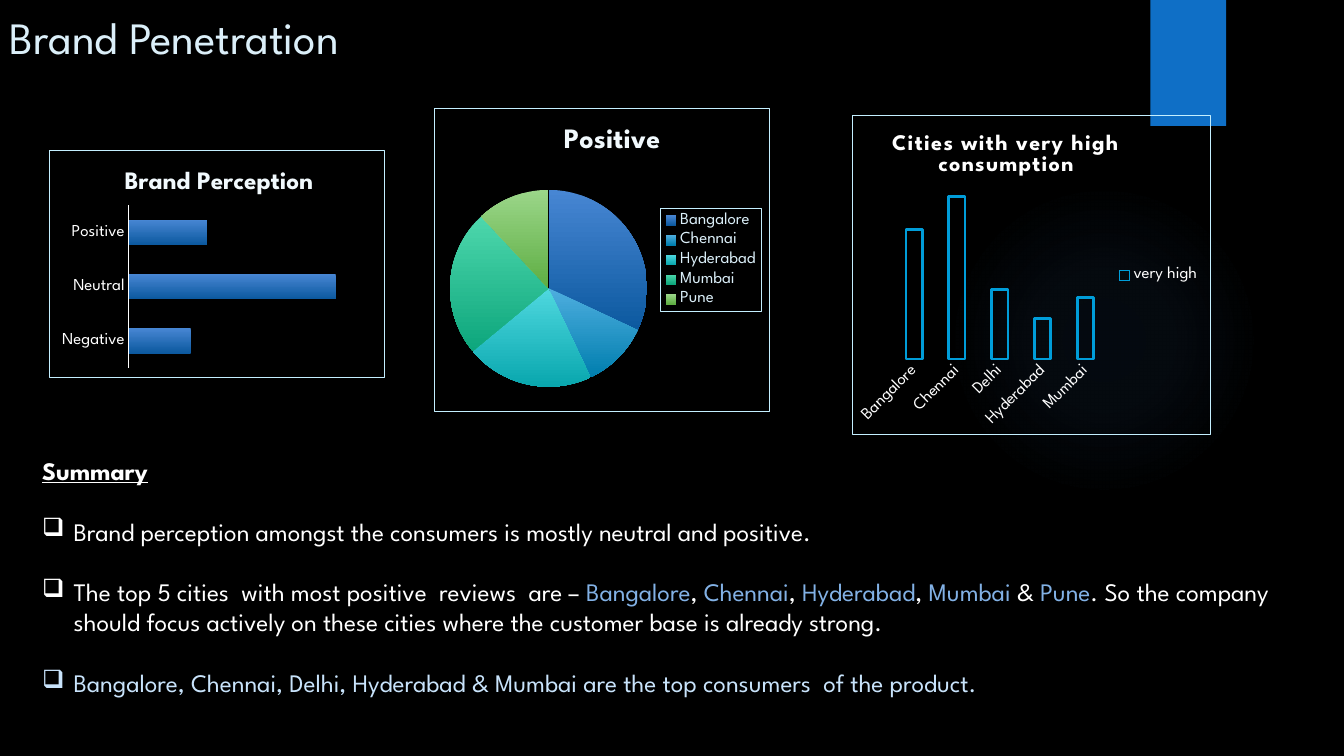
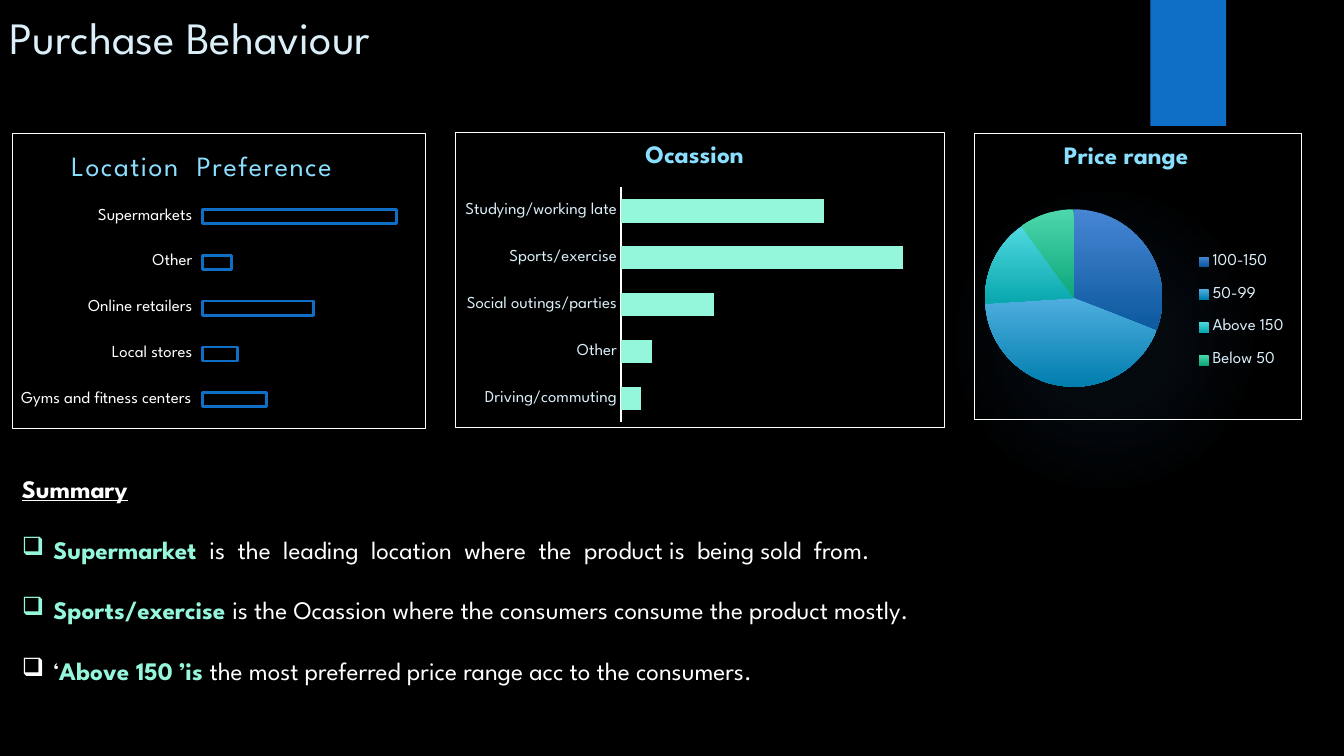
"""Build two survey slides, each with three charts above a bulleted summary."""
from dataclasses import dataclass
from typing import Any, Optional

import pptx
import pptx.chart.chart
import pptx.chart.data
import pptx.dml.color
import pptx.dml.fill
import pptx.enum.chart
import pptx.enum.shapes
import pptx.enum.text
import pptx.oxml
import pptx.oxml.ns
import pptx.slide
import pptx.util

Pt = pptx.util.Pt
ChartType = pptx.enum.chart.XL_CHART_TYPE
TickMark = pptx.enum.chart.XL_TICK_MARK
Box = tuple[float, float, float, float]
Run = tuple[str, str, bool]


@dataclass(frozen=True)
class Theme:
    """Colours, type sizes and the font of the deck."""
    font: str = "League Spartan"
    background: str = "000000"
    band: str = "0F6FC6"
    glow: str = "448AD7"
    text: str = "FFFFFF"
    title: str = "DBEFF9"
    chart_title: str = "F1F9FD"
    sky: str = "8ADFFF"
    cyan: str = "009DD9"
    frame: str = "C4EFFF"
    city: str = "82B1E5"
    pale: str = "C8E3FB"
    mint: str = "94F7DC"
    gradients: tuple[tuple[str, str], ...] = (
        ("4786D3", "0C599F"), ("4EAEDF", "007EAE"), ("4FD8DF", "09A7AE"),
        ("4DD7AC", "0DA67C"), ("9BD689", "5EAE43"))
    title_size: float = 32
    body_size: float = 18
    label_size: float = 12
    chart_size: float = 10
    line_pitch: float = 21.6
    indent: float = 22.5


THEME = Theme()


@dataclass(frozen=True)
class ChartSpec:
    """One framed chart; plot, title and legend places are fractions of it."""
    title: str
    kind: Any
    box: Box
    plot: Box
    title_at: tuple[float, float]
    values: dict[str, float]
    series: str = "Series 1"
    title_size: float = 18
    title_color: str = THEME.sky
    title_bold: bool = True
    title_spacing: int = 0
    frame: str = THEME.text
    label_color: str = THEME.text
    fill: Optional[str] = None
    outline: Optional[str] = None
    axis_line: Optional[str] = None
    tick: Any = TickMark.NONE
    gap: int = 100
    overlap: int = 0
    maximum: float = 100
    legend: bool = False
    legend_frame: Optional[str] = None
    legend_box: Optional[Box] = None


@dataclass(frozen=True)
class SlideSpec:
    """Content of one slide."""
    title: str
    charts: list[ChartSpec]
    summary_box: Box
    bullets: list[list[Run]]


def rgb(color: str) -> pptx.dml.color.RGBColor:
    """Return a colour object."""
    return pptx.dml.color.RGBColor.from_string(color)


def set_values(target: Any, values: dict[str, Any]) -> None:
    """Set attributes from a dict."""
    for name, value in values.items():
        setattr(target, name, value)


def style_font(font: Any, size: float, color: str, **extra: Any) -> None:
    """Apply the deck font with a size, a colour and extra values."""
    set_values(font, {"name": THEME.font, "size": Pt(size), **extra})
    font.color.rgb = rgb(color)


def xml(tag: str, attributes: str, content: str) -> Any:
    """Parse one element that may use the a and c prefixes."""
    names = pptx.oxml.ns.nsdecls("a", "c")
    return pptx.oxml.parse_xml(f"<{tag} {names} {attributes}>{content}</{tag}>")


def place(element: Any, index: int, fractions: tuple[float, ...], inner: bool = False) -> None:
    """Give a chart part a manual layout."""
    for old in element.findall(pptx.oxml.ns.qn("c:layout")):
        element.remove(old)
    content = '<c:layoutTarget val="inner"/>' if inner else ""
    content += '<c:xMode val="edge"/><c:yMode val="edge"/>'
    content += "".join(f'<c:{key} val="{value}"/>' for key, value in zip("xywh", fractions))
    element.insert(index, xml("c:layout", "", f"<c:manualLayout>{content}</c:manualLayout>"))


def frame_xml(color: str) -> Any:
    """Return unfilled chart properties with a thin outline."""
    line = f'<a:ln w="9525"><a:solidFill><a:srgbClr val="{color}"/></a:solidFill></a:ln>'
    return xml("c:spPr", "", f"<a:noFill/>{line}")


def fill_gradient(fill: pptx.dml.fill.FillFormat, colors: tuple[str, str]) -> None:
    """Fill from top to bottom with two colours."""
    fill.gradient()
    fill.gradient_angle = 270
    for stop, color, position in zip(fill.gradient_stops, colors, (0, 1)):
        stop.color.rgb = rgb(color)
        stop.position = position


def style_title(chart: pptx.chart.chart.Chart, spec: ChartSpec) -> None:
    """Write and place the chart title."""
    frame = chart.chart_title.text_frame
    frame.text = spec.title
    font = frame.paragraphs[0].runs[0].font
    style_font(font, spec.title_size, spec.title_color, bold=spec.title_bold)
    frame.paragraphs[0].runs[0]._r.get_or_add_rPr().set("spc", str(spec.title_spacing))
    chart.chart_title.include_in_layout = False
    place(chart.chart_title._element, 1, spec.title_at)


def style_legend(chart: pptx.chart.chart.Chart, spec: ChartSpec) -> None:
    """Show the legend at the right where one is wanted."""
    chart.has_legend = spec.legend
    if not spec.legend:
        return
    legend = chart.legend
    set_values(legend, {"position": pptx.enum.chart.XL_LEGEND_POSITION.RIGHT,
                        "include_in_layout": False})
    style_font(legend.font, THEME.label_size, spec.label_color)
    if spec.legend_box:
        place(legend._element, 1, spec.legend_box)
    if spec.legend_frame:
        text = legend._element.find(pptx.oxml.ns.qn("c:txPr"))
        text.addprevious(frame_xml(spec.legend_frame))


def style_bars(chart: pptx.chart.chart.Chart, spec: ChartSpec) -> None:
    """Format the axes and bars."""
    set_values(chart.plots[0], {"gap_width": spec.gap, "overlap": spec.overlap,
                                "vary_by_categories": False})
    set_values(chart.value_axis, {"visible": False, "has_major_gridlines": False,
                                  "minimum_scale": 0, "maximum_scale": spec.maximum})
    axis = chart.category_axis
    set_values(axis, {"major_tick_mark": spec.tick, "minor_tick_mark": TickMark.NONE,
                      "has_major_gridlines": False})
    style_font(axis.tick_labels.font, THEME.label_size, spec.label_color)
    if spec.axis_line:
        axis.format.line.color.rgb = rgb(spec.axis_line)
        axis.format.line.width = Pt(1)
    else:
        axis.format.line.fill.background()
    shape_format = chart.plots[0].series[0].format
    if spec.outline:
        shape_format.fill.background()
        shape_format.line.color.rgb = rgb(spec.outline)
        shape_format.line.width = Pt(2)
    elif spec.fill:
        shape_format.fill.solid()
        shape_format.fill.fore_color.rgb = rgb(spec.fill)
    else:
        fill_gradient(shape_format.fill, THEME.gradients[0])


def add_chart(slide: pptx.slide.Slide, spec: ChartSpec) -> None:
    """Draw one framed chart."""
    data = pptx.chart.data.CategoryChartData()
    data.categories = list(spec.values)
    data.add_series(spec.series, list(spec.values.values()))
    chart = slide.shapes.add_chart(spec.kind, *map(Pt, spec.box), data).chart
    style_font(chart.font, THEME.chart_size, THEME.text)
    space = chart._chartSpace
    space.find(pptx.oxml.ns.qn("c:txPr")).addprevious(frame_xml(spec.frame))
    style_title(chart, spec)
    style_legend(chart, spec)
    if spec.kind == ChartType.PIE:
        series = chart.plots[0].series[0]
        for index, colors in enumerate(THEME.gradients[:len(spec.values)]):
            fill_gradient(series.points[index].format.fill, colors)
    else:
        style_bars(chart, spec)
    place(space.chart.plotArea, 0, spec.plot, inner=True)


def add_decoration(slide: pptx.slide.Slide) -> None:
    """Draw the background, the soft glow and the corner band."""
    slide.background.fill.solid()
    slide.background.fill.fore_color.rgb = rgb(THEME.background)
    kinds = pptx.enum.shapes.MSO_SHAPE
    glow = slide.shapes.add_shape(kinds.OVAL, *map(Pt, (677.5, 131.8, 221.8, 221.8)))
    band = slide.shapes.add_shape(kinds.RECTANGLE, *map(Pt, (821.8, 0, 54, 90)))
    for shape in (glow, band):
        shape.shadow.inherit = False
        shape.line.fill.background()
    band.fill.solid()
    band.fill.fore_color.rgb = rgb(THEME.band)
    glow.fill.gradient()
    stops = "".join(
        f'<a:gs pos="{position}000"><a:srgbClr val="{THEME.glow}">'
        f'<a:alpha val="{alpha}000"/></a:srgbClr></a:gs>'
        for position, alpha in ((0, 7), (36, 6), (69, 0)))
    center = '<a:fillToRect l="50000" t="50000" r="50000" b="50000"/>'
    gradient = xml("a:gradFill", "", f'<a:gsLst>{stops}</a:gsLst><a:path path="circle">{center}</a:path>')
    properties = glow._element.spPr
    properties.replace(properties.find(pptx.oxml.ns.qn("a:gradFill")), gradient)


def add_text(slide: pptx.slide.Slide, box: Box) -> Any:
    """Add a wrapping text box and return its frame."""
    frame = slide.shapes.add_textbox(*map(Pt, box)).text_frame
    frame.word_wrap = True
    return frame


def add_summary(slide: pptx.slide.Slide, spec: SlideSpec) -> None:
    """Write the heading and its bullets."""
    frame = add_text(slide, spec.summary_box)
    heading = frame.paragraphs[0]
    heading.line_spacing = Pt(THEME.line_pitch)
    run = heading.add_run()
    run.text = "Summary"
    style_font(run.font, THEME.body_size, THEME.text, bold=True, underline=True)
    for runs in spec.bullets:
        paragraph = frame.add_paragraph()
        set_values(paragraph, {"line_spacing": Pt(THEME.line_pitch),
                               "space_before": Pt(THEME.line_pitch)})
        properties = paragraph._p.get_or_add_pPr()
        properties.set("marL", str(Pt(THEME.indent)))
        properties.set("indent", str(-Pt(THEME.indent)))
        properties.append(xml("a:buChar", 'char="❑"', ""))
        for text, color, bold in runs:
            run = paragraph.add_run()
            run.text = text
            style_font(run.font, THEME.body_size, color, bold=bold)


def add_slide(presentation: Any, spec: SlideSpec) -> None:
    """Build one slide."""
    slide = presentation.slides.add_slide(presentation.slide_layouts[6])
    add_decoration(slide)
    frame = add_text(slide, (0, 0, 383, 49))
    frame.vertical_anchor = pptx.enum.text.MSO_ANCHOR.BOTTOM
    run = frame.paragraphs[0].add_run()
    run.text = spec.title
    style_font(run.font, THEME.title_size, THEME.title)
    add_summary(slide, spec)
    for chart in spec.charts:
        add_chart(slide, chart)


def plain(text: str, color: str = THEME.text) -> Run:
    """Return a regular run."""
    return text, color, False


def strong(text: str) -> Run:
    """Return a highlighted run."""
    return text, THEME.mint, True


CITIES = [plain(text, THEME.text if index % 2 else THEME.city) for index, text in enumerate(
    ("Bangalore", ", ", "Chennai", ", ", "Hyderabad", ", ", "Mumbai ", "& ", "Pune"))]

SLIDES = [
    SlideSpec("Brand Penetration", [
        ChartSpec("Brand Perception", ChartType.BAR_CLUSTERED, (35.3, 107.3, 239.8, 162.7),
                  (0.235, 0.241, 0.724, 0.717), (0.21, 0.06),
                  {"Negative": 30, "Neutral": 100, "Positive": 38},
                  title_color=THEME.chart_title, frame=THEME.frame,
                  axis_line=THEME.text, gap=115, overlap=-20, maximum=117),
        ChartSpec("Positive", ChartType.PIE, (310.3, 77, 239.8, 217.4),
                  (0.045, 0.269, 0.589, 0.649), (0.37, 0.04),
                  {"Bangalore": 32, "Chennai": 11, "Hyderabad": 21, "Mumbai": 24, "Pune": 12},
                  title_size=20, title_color=THEME.chart_title, frame=THEME.frame,
                  label_color=THEME.title, legend=True, legend_frame=THEME.frame),
        ChartSpec("Cities with very high consumption", ChartType.COLUMN_CLUSTERED,
                  (608.4, 82, 257, 229), (0.113, 0.255, 0.597, 0.508), (0.1, 0.04),
                  {"Bangalore": 80, "Chennai": 100, "Delhi": 43, "Hyderabad": 25, "Mumbai": 38},
                  series="very high", title_size=16, title_color=THEME.text, title_spacing=100,
                  frame=THEME.frame, outline=THEME.cyan, gap=164, overlap=-35, legend=True),
    ], (23, 321.8, 914.4, 203.8), [
        [plain("Brand perception amongst the consumers is mostly neutral and positive.")],
        [plain("The top 5 cities  with most positive  reviews  are – "), *CITIES,
         plain(". So the company should focus actively on these cities where the customer "
               "base is already strong.")],
        [plain("Bangalore, Chennai, Delhi, Hyderabad & Mumbai are the top consumers  of the product.",
               THEME.pale)],
    ]),
    SlideSpec("Purchase Behaviour", [
        ChartSpec("Location  Preference", ChartType.BAR_CLUSTERED, (8.6, 95, 296, 211.7),
                  (0.459, 0.203, 0.471, 0.777), (0.13, 0.05),
                  {"Gyms and fitness centers": 33, "Local stores": 18, "Online retailers": 57,
                   "Other": 15, "Supermarkets": 100},
                  title_size=20, title_bold=False, title_spacing=100, outline=THEME.band,
                  tick=TickMark.OUTSIDE, gap=227, overlap=-48),
        ChartSpec("Ocassion", ChartType.BAR_CLUSTERED, (324.7, 94.3, 350, 211.7),
                  (0.339, 0.186, 0.577, 0.794), (0.38, 0.02),
                  {"Driving/commuting": 7, "Other": 11, "Social outings/parties": 33,
                   "Sports/exercise": 100, "Studying/working late": 72},
                  label_color=THEME.title, fill=THEME.mint, axis_line=THEME.text),
        ChartSpec("Price range", ChartType.PIE, (695.5, 95, 234.7, 205.2),
                  (0.033, 0.26, 0.542, 0.63), (0.26, 0.02),
                  {"100-150": 31, "50-99": 43, "Above 150": 16, "Below 50": 10},
                  label_color=THEME.title, legend=True, legend_box=(0.66, 0.36, 0.31, 0.52)),
    ], (8.6, 334.8, 910, 181.4), [
        [strong("Supermarket "),
         plain(" is  the  leading  location  where  the  product is  being sold  from.")],
        [strong("Sports/exercise "),
         plain("is the Ocassion where the consumers consume the product mostly.")],
        [plain("‘"), strong("Above 150 ’is "),
         plain("the most preferred price range acc to the consumers.")],
    ]),
]


def main() -> None:
    """Build and save the deck."""
    presentation = pptx.Presentation()
    set_values(presentation, {"slide_width": Pt(960), "slide_height": Pt(540)})
    for spec in SLIDES:
        add_slide(presentation, spec)
    presentation.save("out.pptx")


if __name__ == "__main__":
    main()
